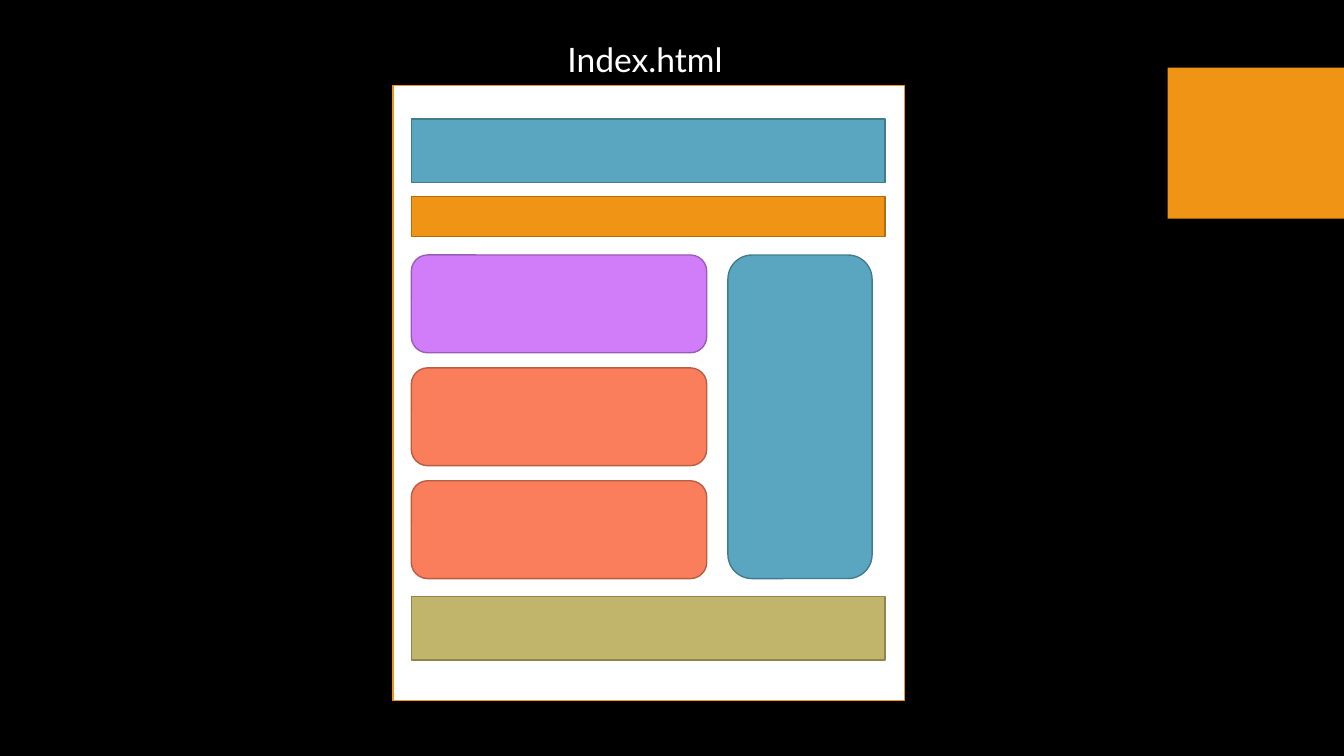
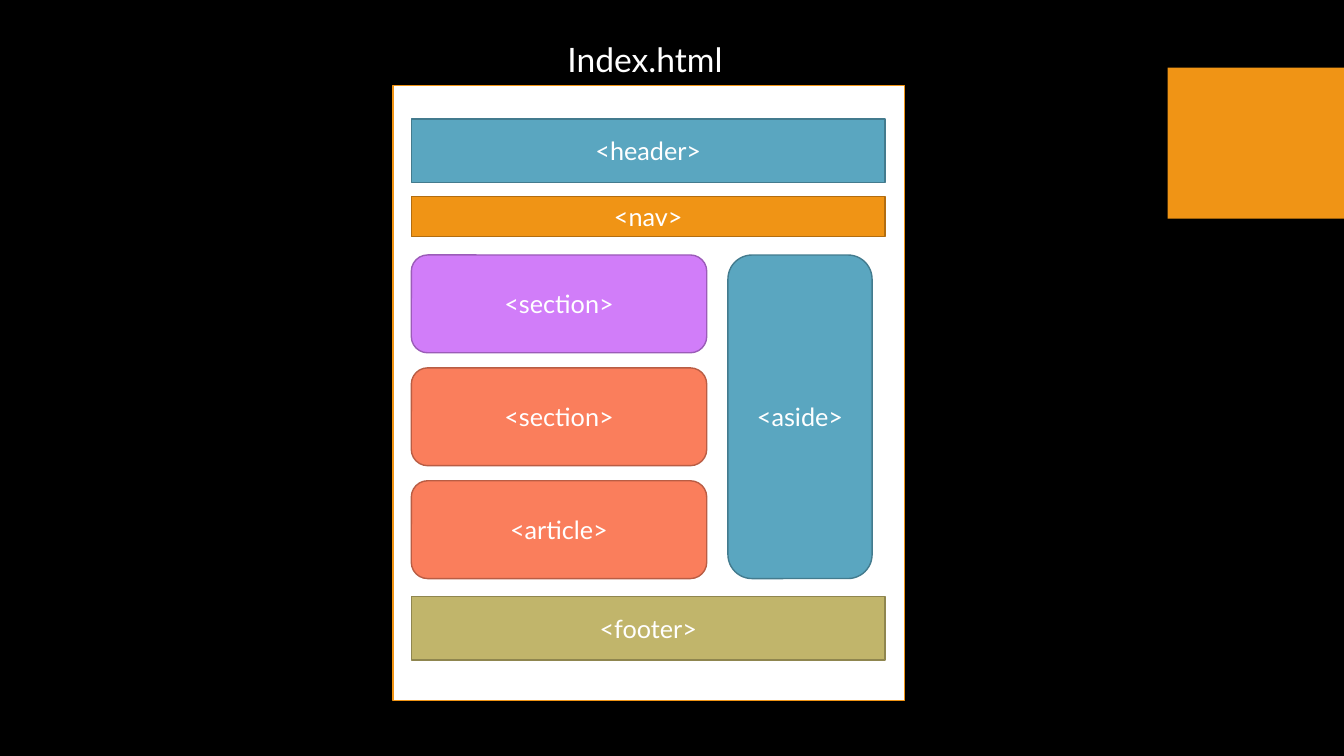
from dataclasses import dataclass

from pptx import Presentation
from pptx.dml.color import RGBColor
from pptx.enum.shapes import MSO_SHAPE
from pptx.enum.text import MSO_ANCHOR, MSO_AUTO_SIZE, PP_ALIGN
from pptx.util import Inches, Pt

RECT, ROUND = MSO_SHAPE.RECTANGLE, MSO_SHAPE.ROUNDED_RECTANGLE
MIDDLE, CENTER = MSO_ANCHOR.MIDDLE, PP_ALIGN.CENTER
GROW = MSO_AUTO_SIZE.SHAPE_TO_FIT_TEXT


@dataclass(frozen=True)
class Theme:
    font: str = "Lato"
    title: int = 24
    label: int = 18
    edge: int = 1
    black: str = "000000"
    white: str = "FFFFFF"
    # Each pair is a fill and its darker outline
    blue: tuple = ("5AA6C0", "437B8E")
    orange: tuple = ("F09415", "B26D10")
    purple: tuple = ("D17DF9", "9B5CB8")
    coral: tuple = ("FA7E5C", "B95D44")
    olive: tuple = ("C1B56B", "8F864F")


theme = Theme()


def block(slide, kind, area, fill, line=None):
    shape = slide.shapes.add_shape(kind, *map(Inches, area))
    shape.shadow.inherit = False
    shape.fill.solid()
    shape.fill.fore_color.rgb = RGBColor.from_string(fill)
    if line:
        shape.line.color.rgb = RGBColor.from_string(line)
        shape.line.width = Pt(theme.edge)
    else:
        shape.line.fill.background()
    return shape


def write(para, text, size):
    run = para.add_run()
    run.text = text
    run.font.name = theme.font
    run.font.size = Pt(size)
    run.font.color.rgb = RGBColor.from_string(theme.white)


# Slide size and shared background
WIDTH, HEIGHT = 13.33, 7.5
deck = Presentation()
deck.slide_width, deck.slide_height = Inches(WIDTH), Inches(HEIGHT)
back = deck.slide_master.background.fill
back.solid()
back.fore_color.rgb = RGBColor.from_string(theme.black)
blank = deck.slide_layouts[6]

# Grid: full-width bands, with three stacked cards beside an aside
LEFT, FULL, BAND = 4.08, 4.7, 0.63
MAIN, SIDE, GUTTER = 2.93, 1.43, 0.21
TOP, CARD, GAP = 2.53, 0.97, 0.15
rows = [TOP + n * (CARD + GAP) for n in range(3)]
stack = rows[-1] + CARD - TOP

parts = [
    ("<header>", RECT, (LEFT, 1.18, FULL, BAND), theme.blue),
    ("<nav>", RECT, (LEFT, 1.95, FULL, 0.4), theme.orange),
    ("<section>", ROUND, (LEFT, rows[0], MAIN, CARD), theme.purple),
    ("<section>", ROUND, (LEFT, rows[1], MAIN, CARD), theme.coral),
    ("<article>", ROUND, (LEFT, rows[2], MAIN, CARD), theme.coral),
    ("<aside>", ROUND, (LEFT + MAIN + GUTTER, TOP, SIDE, stack), theme.blue),
    ("<footer>", RECT, (LEFT, 5.92, FULL, BAND), theme.olive),
]

# The layout first bare, then with its tags
for tagged in (False, True):
    slide = deck.slides.add_slide(blank)

    # Corner square and white page
    block(slide, RECT, (WIDTH - 1.75, 0.67, 1.75, 1.5), theme.orange[0])
    block(slide, RECT, (3.9, 0.85, 5.07, 6.1), theme.white, theme.orange[0])

    # File name above the page
    name = slide.shapes.add_textbox(*map(Inches, (5.53, 0.34, 1.84, 0.5)))
    name.text_frame.word_wrap = False
    name.text_frame.auto_size = GROW
    write(name.text_frame.paragraphs[0], "Index.html", theme.title)

    # Page parts
    for tag, kind, area, tint in parts:
        shape = block(slide, kind, area, *tint)
        if tagged:
            shape.text_frame.vertical_anchor = MIDDLE
            para = shape.text_frame.paragraphs[0]
            para.alignment = CENTER
            write(para, tag, theme.label)

deck.save("out.pptx")
